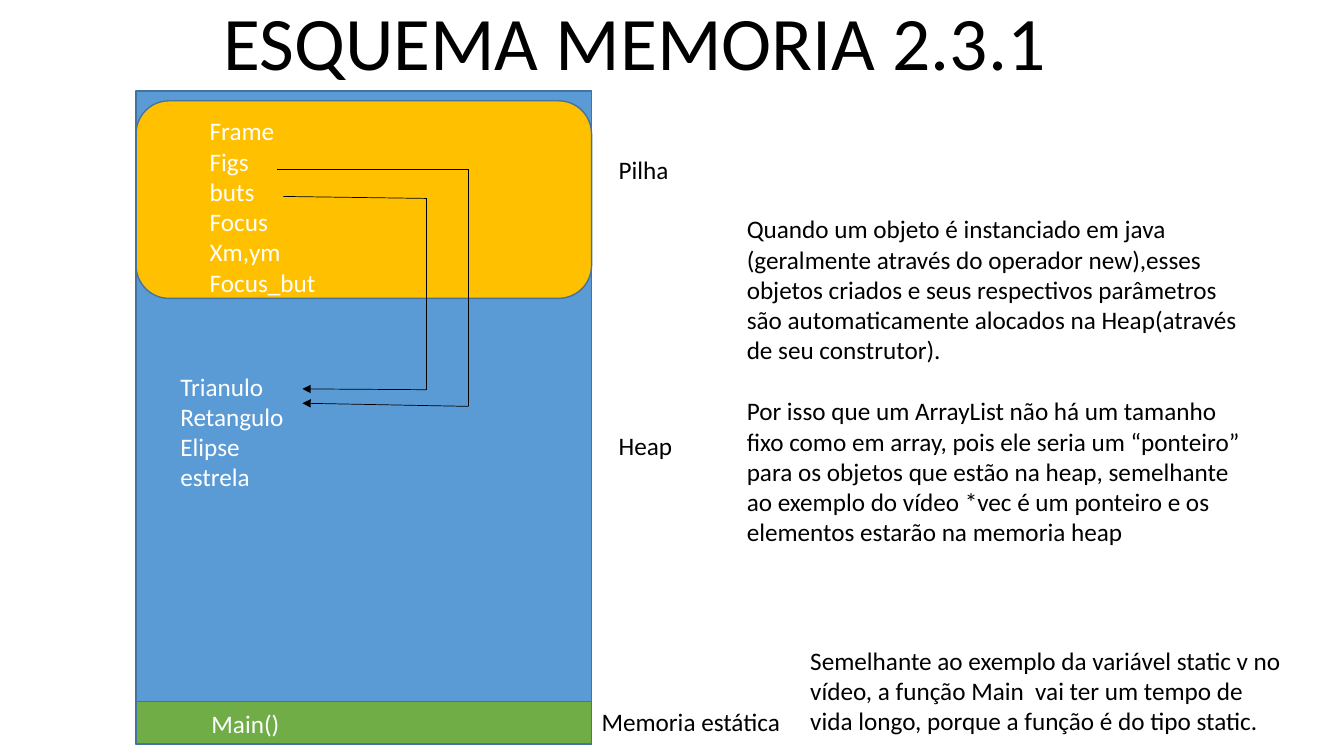
from itertools import pairwise

from lxml import etree
from pptx import Presentation
from pptx.dml.color import RGBColor
from pptx.enum.shapes import MSO_CONNECTOR, MSO_SHAPE
from pptx.enum.text import MSO_ANCHOR, MSO_AUTO_SIZE, PP_ALIGN
from pptx.oxml.ns import qn
from pptx.util import Cm, Pt

RECT, ROUNDED = MSO_SHAPE.RECTANGLE, MSO_SHAPE.ROUNDED_RECTANGLE
STRAIGHT = MSO_CONNECTOR.STRAIGHT
LEFT, CENTER = PP_ALIGN.LEFT, PP_ALIGN.CENTER
TOP, BOTTOM = MSO_ANCHOR.TOP, MSO_ANCHOR.BOTTOM
FIXED, GROW = MSO_AUTO_SIZE.NONE, MSO_AUTO_SIZE.SHAPE_TO_FIT_TEXT

BLACK = RGBColor(0x00, 0x00, 0x00)
WHITE = RGBColor(0xFF, 0xFF, 0xFF)
BLUE = RGBColor(0x5B, 0x9B, 0xD5)
GOLD = RGBColor(0xFF, 0xC0, 0x00)
GREEN = RGBColor(0x70, 0xAD, 0x47)
OUTLINE = RGBColor(0x43, 0x73, 0x9E)

MEMORY_LEFT, MEMORY_WIDTH = 3.43, 11.48


def apply(target, values):
    for name, value in values.items():
        setattr(target, name, value)


class MemorySlide:
    """Hold the text style and the current slide, and draw its elements."""

    font = {"name": "Calibri", "size": Pt(18)}
    frame = {"word_wrap": True, "auto_size": GROW, "vertical_anchor": TOP}
    paragraph = {"alignment": LEFT, "line_spacing": 1.0,
                 "space_before": Pt(0), "space_after": Pt(0)}

    def __init__(self, s):
        self.s = s

    def fill_text(self, sp, lines, color, gap=0, size=18, frame=None, paragraph=None):
        tf = sp.text_frame
        apply(tf, self.frame | (frame or {}))
        for i, line in enumerate(lines):
            p = tf.paragraphs[0] if i == 0 else tf.add_paragraph()
            apply(p, self.paragraph | (paragraph or {}))
            if i:
                p.space_before = Pt(gap)
            r = p.add_run()
            r.text = line
            apply(r.font, self.font | {"size": Pt(size)})
            r.font.color.rgb = color

    def place(self, sp, box):
        apply(sp, dict(zip(("left", "top", "width", "height"), map(Cm, box))))

    def title(self, text, box):
        sp = self.s.shapes.title
        self.place(sp, box)
        self.fill_text(sp, [text], BLACK, size=54,
                       frame={"auto_size": FIXED, "vertical_anchor": BOTTOM},
                       paragraph={"alignment": CENTER, "line_spacing": 0.9})

    def variables(self, idx, names, box):
        sp = self.s.placeholders[idx]
        self.place(sp, box)
        sp.element.getparent().append(sp.element)
        self.fill_text(sp, names, WHITE)
        for p in sp.text_frame.paragraphs:
            pPr = p._p.get_or_add_pPr()
            pPr.set("marL", "0")
            pPr.set("indent", "0")
            etree.SubElement(pPr, qn("a:buNone"))

    def text(self, lines, box, color=BLACK, gap=0):
        sp = self.s.shapes.add_textbox(*map(Cm, box))
        self.fill_text(sp, lines, color, gap)

    def region(self, kind, top, height, color):
        box = MEMORY_LEFT, top, MEMORY_WIDTH, height
        sp = self.s.shapes.add_shape(kind, *map(Cm, box))
        sp.shadow.inherit = False
        sp.fill.solid()
        sp.fill.fore_color.rgb = color
        sp.line.color.rgb = OUTLINE
        sp.line.width = Pt(1)

    def pointer(self, points):
        for start, end in pairwise(points):
            line = self.s.shapes.add_connector(STRAIGHT, *map(Cm, start + end))
            line.line.color.rgb = BLACK
            line.line.width = Pt(0.5)
            etree.SubElement(line.element.spPr, qn("a:effectLst"))
        ln = line.element.spPr.find(qn("a:ln"))
        etree.SubElement(ln, qn("a:tailEnd"), type="triangle")


prs = Presentation()
prs.slide_width, prs.slide_height = Cm(33.87), Cm(19.05)
slide = MemorySlide(prs.slides.add_slide(prs.slide_layouts[3]))

slide.title("ESQUEMA MEMORIA 2.3.1", (5.08, 0.74, 21.84, 1.57))

for region in (
    (RECT, 2.29, 16.46, BLUE),
    (ROUNDED, 2.54, 4.98, GOLD),
    (RECT, 17.68, 1.07, GREEN),
):
    slide.region(*region)

slide.text(["Main()"], (5.08, 17.73, 6.73, 1.02), WHITE)
for label, left, top, width in (
    ("Memoria estática", 14.91, 17.68, 9.55),
    ("Pilha", 15.34, 3.76, 6.83),
    ("Heap", 15.34, 10.72, 3.84),
):
    slide.text([label], (left, top, width, 1.02))

slide.variables(1, ["Frame", "Figs", "buts", "Focus", "Xm,ym", "Focus_but"],
                (5.03, 2.79, 7.98, 5.64))
slide.variables(2, ["Trianulo", "Retangulo", "Elipse", "estrela"],
                (4.29, 9.22, 9.45, 4.88))

slide.pointer([(6.99, 4.27), (11.81, 4.27), (11.81, 10.24), (7.62, 10.16)])
slide.pointer([(7.14, 4.95), (10.74, 5), (10.74, 9.82), (7.62, 9.8)])

slide.text([
    "Quando um objeto é instanciado em java (geralmente através do operador "
    "new),esses objetos criados e seus respectivos parâmetros são "
    "automaticamente alocados na Heap(através de seu construtor).",
    "Por isso que um ArrayList não há um tamanho fixo como em array, pois ele "
    "seria um “ponteiro” para os objetos que estão na heap, semelhante ao "
    "exemplo do vídeo *vec é um ponteiro e os elementos estarão na memoria heap",
], (18.57, 5.26, 13.23, 9.5), gap=22)
slide.text([
    "Semelhante ao exemplo da variável static v no vídeo, a função Main  vai "
    "ter um tempo de vida longo, porque a função é do tipo static.",
], (20.17, 16.13, 12.45, 2.57))

prs.save("out.pptx")
